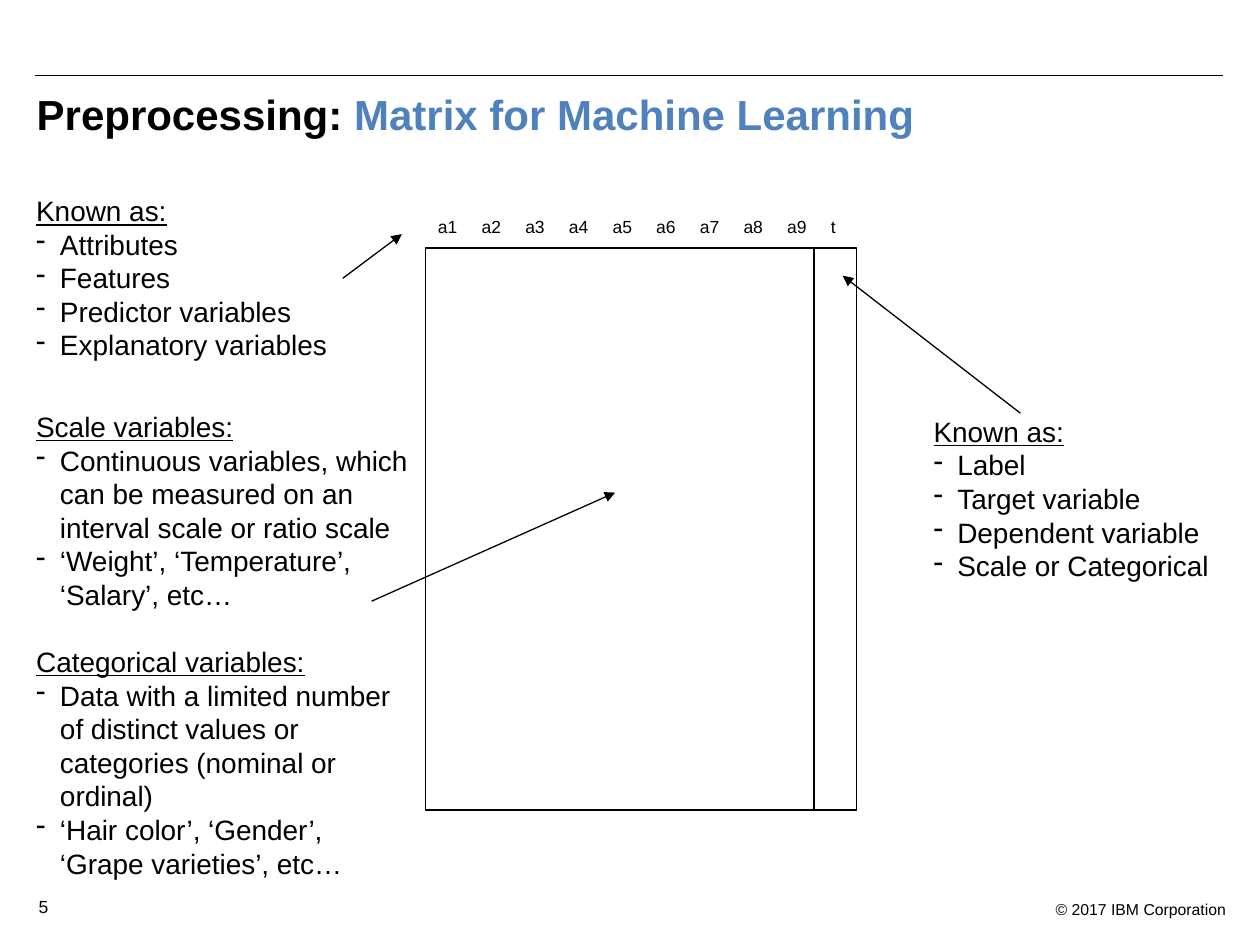
from lxml.etree import SubElement
from pptx import Presentation
from pptx.dml.color import RGBColor
from pptx.enum.shapes import MSO_CONNECTOR, MSO_SHAPE
from pptx.enum.text import MSO_ANCHOR, PP_ALIGN
from pptx.oxml.ns import qn
from pptx.util import Cm, Pt

COLORS = {"text": "000000", "accent": "4F81BD", "paper": "FFFFFF"}
FONT = "Arial"
INDENT = Cm(0.48)
COLUMN_PITCH = Cm(0.88)

TITLE = [("Preprocessing: ", "text"), ("Matrix for Machine Learning", "accent")]
COLUMNS = [f"a{number}" for number in range(1, 10)] + ["t"]
MATRIX = (8.58, 5, 8.69, 11.33)
TARGET_X = 16.41

NOTES = [
    ((18.57, 8.23, 6.6, 3.68), [
        ("Known as:", ["Label", "Target variable", "Dependent variable", "Scale or Categorical"]),
    ]),
    ((0.48, 3.78, 6.43, 3.68), [
        ("Known as:", ["Attributes", "Features", "Predictor variables", "Explanatory variables"]),
    ]),
    ((0.48, 8.13, 8.1, 9.83), [
        ("Scale variables:", [
            "Continuous variables, which can be measured on an interval scale or ratio scale",
            "‘Weight’, ‘Temperature’, ‘Salary’, etc…",
        ]),
        ("Categorical variables:", [
            "Data with a limited number of distinct values or categories (nominal or ordinal)",
            "‘Hair color’, ‘Gender’, ‘Grape varieties’, etc…",
        ]),
    ]),
]
ARROWS = [
    (20.57, 8.33, 16.99, 5.56),
    (6.91, 5.61, 8.1, 4.72),
    (7.49, 12.12, 12.4, 9.93),
]


def color(name):
    return RGBColor.from_string(COLORS[name])


def style(font, size, name="text", bold=False, underline=False):
    font.name = FONT
    font.size = Pt(size)
    font.bold = bold
    font.underline = underline
    font.color.rgb = color(name)


def add_text(slide, box, text="", size=10, alignment=PP_ALIGN.LEFT):
    shape = slide.shapes.add_textbox(*map(Cm, box))
    text_frame = shape.text_frame
    text_frame.word_wrap = True
    text_frame.text = text
    paragraph = text_frame.paragraphs[0]
    paragraph.alignment = alignment
    for run in paragraph.runs:
        style(run.font, size)
    return text_frame


def add_line(slide, ends, arrow=False):
    connector = slide.shapes.add_connector(MSO_CONNECTOR.STRAIGHT, *map(Cm, ends))
    connector.line.color.rgb = color("text")
    connector.line.width = Pt(0.75)
    if arrow:
        SubElement(connector.line._get_or_add_ln(), qn("a:tailEnd"), type="triangle")
    SubElement(connector._element.spPr, qn("a:effectLst"))


def add_bullet(paragraph):
    properties = paragraph._p.get_or_add_pPr()
    properties.set("marL", str(INDENT))
    properties.set("indent", str(-INDENT))
    SubElement(properties, qn("a:buFontTx"))
    SubElement(properties, qn("a:buChar"), char="-")


def add_note(slide, box, groups):
    text_frame = add_text(slide, box)
    paragraph = text_frame.paragraphs[0]
    for group_index, (heading, items) in enumerate(groups):
        for item_index, text in enumerate([heading] + items):
            if group_index or item_index:
                paragraph = text_frame.add_paragraph()
            paragraph.text = text
            if item_index:
                add_bullet(paragraph)
            elif group_index:
                paragraph.space_before = Pt(19.2)
            style(paragraph.runs[0].font, 16, underline=item_index == 0)


def add_column_names(slide):
    left, top, width, _ = MATRIX
    text_frame = add_text(slide, (left, top - 0.78, width, 0.69), "\t".join(COLUMNS))
    properties = text_frame.paragraphs[0]._p.get_or_add_pPr()
    stops = SubElement(properties, qn("a:tabLst"))
    for index in range(1, len(COLUMNS)):
        SubElement(stops, qn("a:tab"), pos=str(index * COLUMN_PITCH), algn="l")


def add_title(slide):
    title = slide.shapes.title
    title.left, title.top, title.width, title.height = map(Cm, (0.74, 1.65, 23.75, 1.19))
    text_frame = title.text_frame
    text_frame.margin_left = 0
    text_frame.vertical_anchor = MSO_ANCHOR.TOP
    paragraph = text_frame.paragraphs[0]
    paragraph.alignment = PP_ALIGN.LEFT
    for text, name in TITLE:
        run = paragraph.add_run()
        run.text = text
        style(run.font, 24, name, bold=True)


def add_matrix(slide):
    left, top, width, height = MATRIX
    shape = slide.shapes.add_shape(MSO_SHAPE.RECTANGLE, *map(Cm, MATRIX))
    shape.shadow.inherit = False
    shape.fill.solid()
    shape.fill.fore_color.rgb = color("paper")
    shape.line.color.rgb = color("text")
    shape.line.width = Pt(0.75)
    add_line(slide, (TARGET_X, top, TARGET_X, top + height))


def main():
    presentation = Presentation()
    presentation.slide_width = Cm(25.4)
    presentation.slide_height = Cm(19.05)
    slide = presentation.slides.add_slide(presentation.slide_layouts[5])
    add_line(slide, (0.71, 1.52, 24.66, 1.52))
    add_text(slide, (16.48, 18.01, 8.48, 0.64), "© 2017 IBM Corporation", 9, PP_ALIGN.RIGHT)
    add_text(slide, (0.53, 17.93, 1.52, 0.69), "5")
    add_title(slide)
    add_matrix(slide)
    add_column_names(slide)
    for box, groups in NOTES:
        add_note(slide, box, groups)
    for ends in ARROWS:
        add_line(slide, ends, arrow=True)
    presentation.save("out.pptx")


if __name__ == "__main__":
    main()
